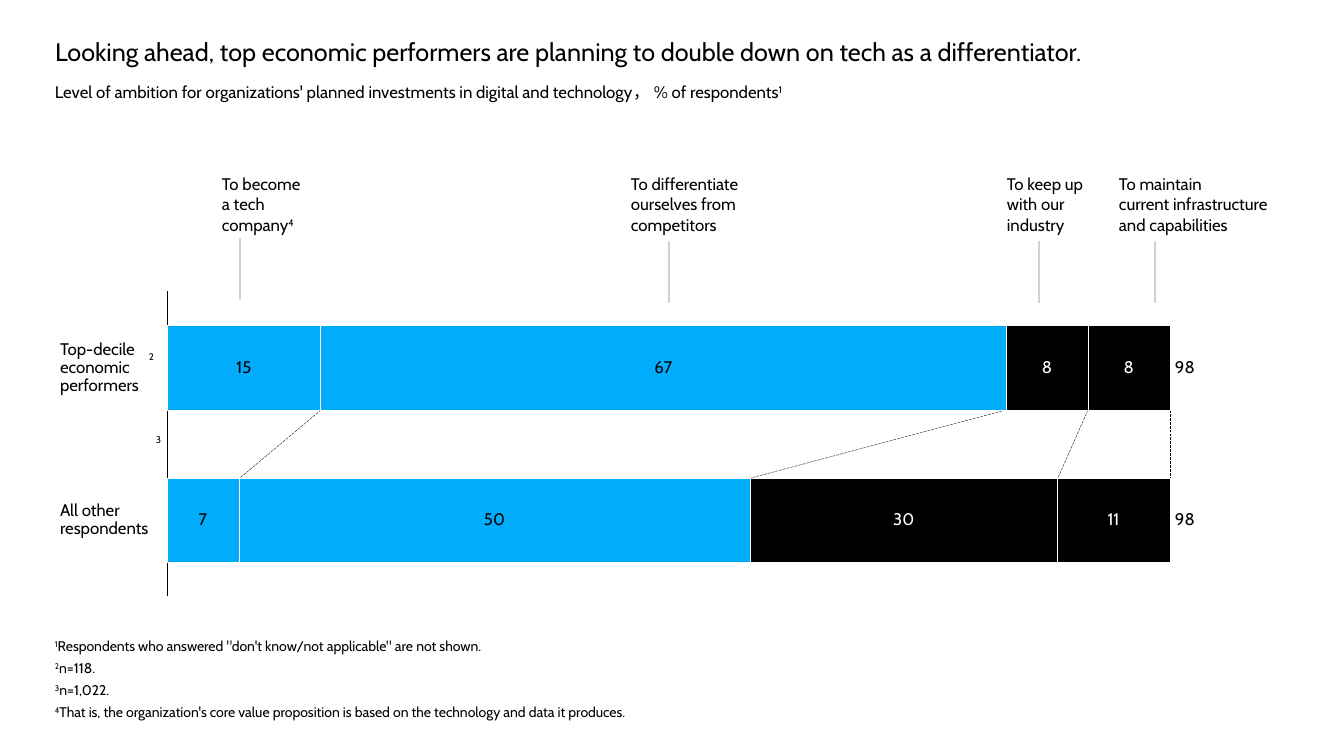
"""Build the slide on planned technology investments by economic performance."""
from itertools import accumulate

from lxml import etree
from pptx import Presentation
from pptx.chart.data import CategoryChartData
from pptx.dml.color import RGBColor as Rgb
from pptx.enum.chart import XL_CHART_TYPE as Kind, XL_LABEL_POSITION as Spot
from pptx.enum.chart import XL_TICK_LABEL_POSITION as Tick, XL_TICK_MARK as Mark
from pptx.enum.dml import MSO_LINE as Dash
from pptx.enum.shapes import MSO_CONNECTOR as Link
from pptx.enum.text import MSO_ANCHOR as Anchor, MSO_AUTO_SIZE as Fit, PP_ALIGN as Align
from pptx.oxml.ns import qn
from pptx.util import Emu, Pt

PX = 914400 / 100.8
THEME = {
    "font": "Cabin",
    "black": Rgb(0, 0, 0), "white": Rgb(255, 255, 255),
    "blue": Rgb.from_string("00ACFB"), "grey": Rgb.from_string("D1D1D1"),
    "title": Pt(18), "body": Pt(12), "note": Pt(10),
}


def write(x, y, w, h, lines, size="body", inset=None, box=None):
    """Place lines of text, where parts between carets are raised."""
    box = box or deck.add_textbox(0, 0, 0, 0)
    box.left, box.top, box.width, box.height = (Emu(round(n * PX)) for n in (x, y, w, h))
    frame = box.text_frame
    frame.word_wrap = size == "title"
    frame.auto_size = Fit.SHAPE_TO_FIT_TEXT if inset is None else Fit.NONE
    frame.vertical_anchor = Anchor.TOP if inset is None else Anchor.MIDDLE
    if inset is not None:
        frame.margin_left = frame.margin_right = Emu(round(inset * PX))
        frame.margin_top = frame.margin_bottom = 0
    for row, line in enumerate(lines):
        para = frame.add_paragraph() if row else frame.paragraphs[0]
        para.alignment = Align.LEFT
        if inset is not None:
            para.line_spacing = 0.9
        for part, words in enumerate(line.split("^")):
            if not words:
                continue
            run = para.add_run()
            run.text = words
            run.font.name, run.font.size = THEME["font"], THEME[size]
            run.font.color.rgb = THEME["black"]
            if part % 2:
                run.font._element.set("baseline", "30000")


def rule(x1, y1, x2, y2, color, width, dash=None):
    """Draw a straight line without a shadow."""
    line = deck.add_connector(Link.STRAIGHT, *(Emu(round(n * PX)) for n in (x1, y1, x2, y2)))
    line.line.color.rgb, line.line.width = THEME[color], Pt(width)
    if dash:
        line.line.dash_style = dash
    etree.SubElement(line._element.spPr, qn("a:effectLst"))


show = Presentation()
show.slide_width, show.slide_height = Emu(round(1344 * PX)), Emu(round(756 * PX))
slide = show.slides.add_slide(show.slide_layouts[5])
deck = slide.shapes

write(45, 31, 1250, 40, ["Looking ahead, top economic performers are planning to double down "
                         "on tech as a differentiator."], "title", box=deck.title)
write(45, 77, 817, 30, ["Level of ambition for organizations' planned investments in digital "
                        "and technology， % of respondents^1"])

TOP, REST = (15, 67, 8, 8), (7, 50, 30, 11)
LEFT, SPAN = 168, 1002
for high, low in zip(accumulate(TOP), accumulate(REST)):
    ends = [round(LEFT + SPAN * n / sum(TOP)) for n in (high, low)]
    rule(ends[0], 410, ends[1], 478, "black", 0.25, Dash.LONG_DASH)

data = CategoryChartData()
data.categories = ["1", "2"]
for num, pair in enumerate(zip(TOP, REST), 1):
    data.add_series(f"Series {num}", pair)
chart = deck.add_chart(Kind.BAR_STACKED, *(Emu(round(n * PX)) for n in (158, 262, 1021, 364)),
                       data).chart
chart.has_legend = chart.has_title = False
chart.font.name, chart.font.size = THEME["font"], THEME["body"]
chart.font.color.rgb = THEME["black"]

cat, val = chart.category_axis, chart.value_axis
cat.reverse_order = True
cat.tick_label_position = Tick.NONE
cat.major_tick_mark = cat.minor_tick_mark = Mark.NONE
cat.has_major_gridlines = val.has_major_gridlines = False
cat.format.line.color.rgb, cat.format.line.width = THEME["black"], Pt(0.75)
val.minimum_scale, val.maximum_scale = 0, sum(TOP)
val.visible = False

plot = chart.plots[0]
plot.gap_width, plot.overlap, plot.vary_by_categories = 80, 100, False
for bar, fill, ink in zip(plot.series, ("blue", "blue", "black", "black"),
                          ("black", "black", "white", "white")):
    bar.format.fill.solid()
    bar.format.fill.fore_color.rgb = THEME[fill]
    bar.format.line.color.rgb, bar.format.line.width = THEME["white"], Pt(0.25)
    tags = bar.data_labels
    tags.show_value, tags.position = True, Spot.CENTER
    tags.font.name, tags.font.size = THEME["font"], THEME["body"]
    tags.font.color.rgb = THEME[ink]

area = chart._chartSpace.find(".//" + qn("c:plotArea"))
for old in area.findall(qn("c:layout")):
    area.remove(old)
layout = etree.Element(qn("c:layout"))
area.insert(0, layout)
inner = etree.SubElement(layout, qn("c:manualLayout"))
for tag, value in (("layoutTarget", "inner"), ("xMode", "edge"), ("yMode", "edge"),
                   ("x", "0.009"), ("y", "0.081"), ("w", "0.982"), ("h", "0.838")):
    etree.SubElement(inner, qn("c:" + tag)).set("val", value)

write(60, 341, 86, 54, ["Top-decile", "economic", "performers"], inset=0)
write(60, 502, 96, 36, ["All other", "respondents"], inset=0)
for y, row in ((359, TOP), (511, REST)):
    write(1173, y, 24, 18, [str(sum(row))], inset=2)
write(139, 344, 26, 23, ["^2"])
write(146, 427, 26, 24, ["^3"])

HEADS = (
    (212, 107, 240, 238, ["To become", "a tech", "company^4"]),
    (621, 141, 669, 241, ["To differentiate", "ourselves from", "competitors"]),
    (997, 107, 1039, 241, ["To keep up", "with our", "industry"]),
    (1109, 186, 1155, 241, ["To maintain", "current infrastructure", "and capabilities"]),
)
for x, w, stem, y, lines in HEADS:
    write(x, 169, w, 72, lines)
    rule(stem, y, stem, y + 62, "grey", 1)

NOTES = (
    (479, "^1^Respondents who answered \"don't know/not applicable\" are not shown."),
    (71, "^2^n=118."),
    (79, "^3^n=1,022."),
    (650, "^4^That is, the organization's core value proposition is based on the "
          "technology and data it produces."),
)
for num, (w, note) in enumerate(NOTES):
    write(45, 633 + 22 * num, w, 27, [note], "note")

show.save("out.pptx")
